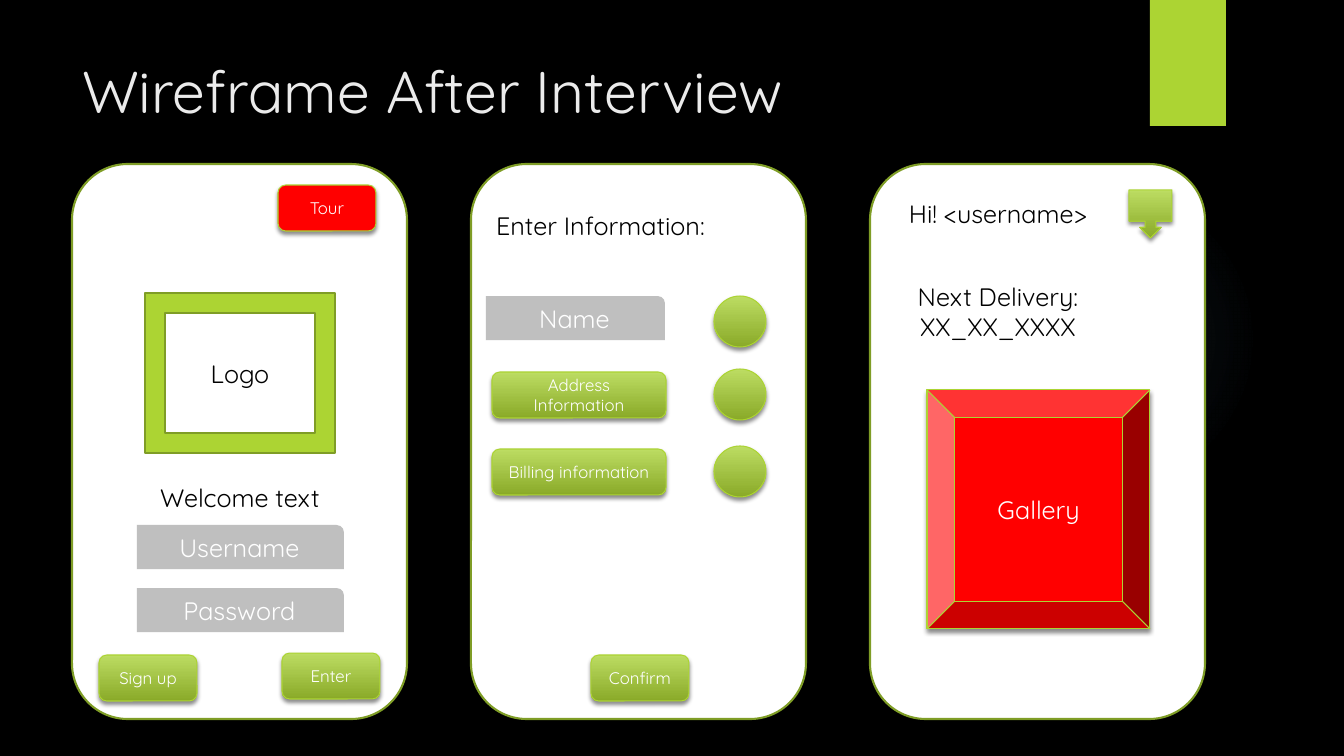
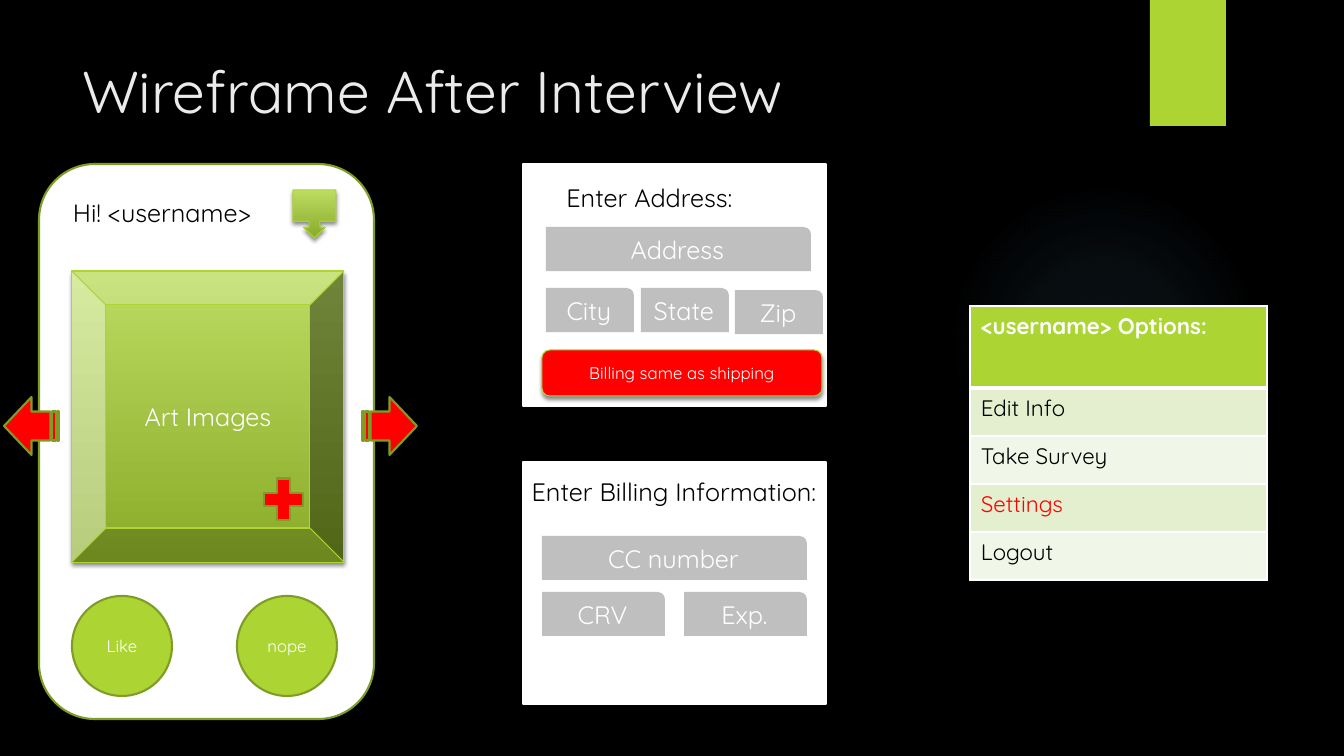
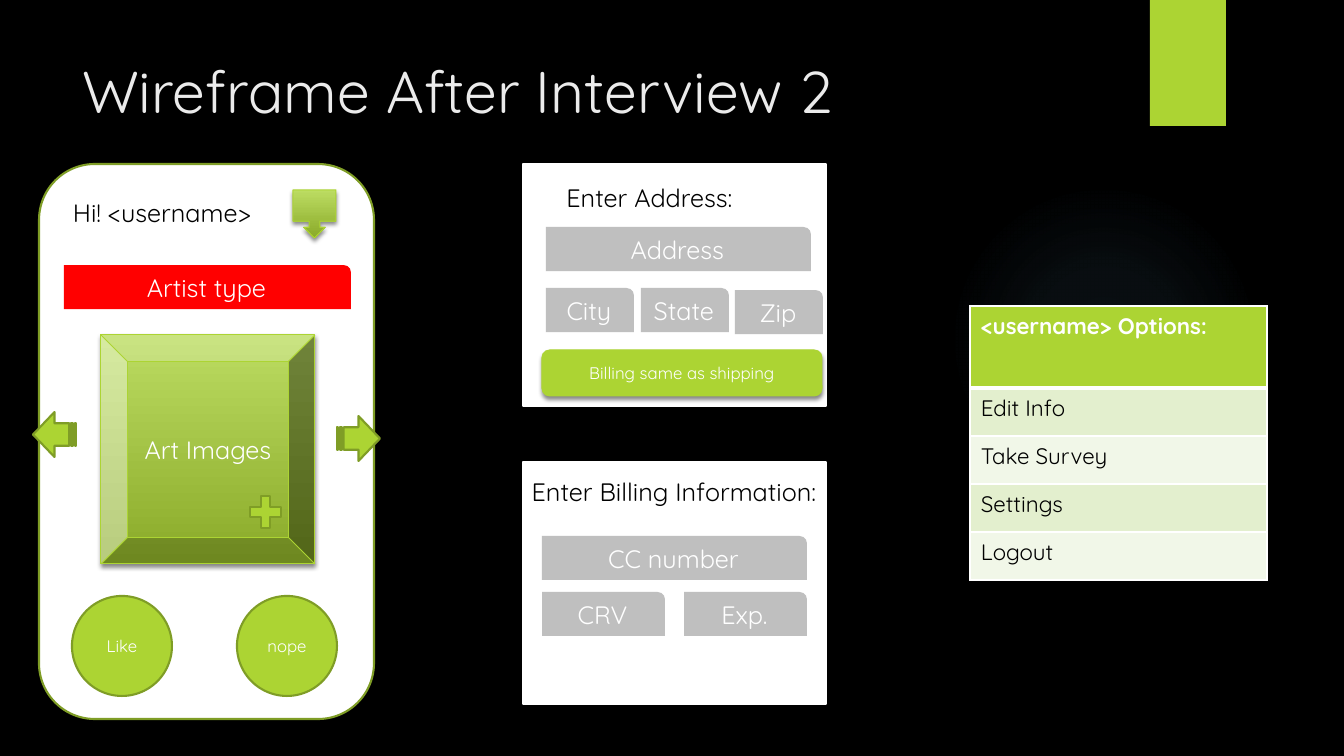
import pptx
import pptx.util
import pptx.oxml
import pptx.dml.color
import pptx.enum.shapes
import pptx.enum.text

PX = 914400 / 100.8
FONT = "Quicksand"
NS = 'xmlns:a="http://schemas.openxmlformats.org/drawingml/2006/main"'
KIND = pptx.enum.shapes.MSO_SHAPE
ALIGN = pptx.enum.text.PP_ALIGN
ANCHOR = pptx.enum.text.MSO_ANCHOR
FIT = pptx.enum.text.MSO_AUTO_SIZE

COLORS = {
    "black": "000000", "white": "FFFFFF", "title": "EBEBEB",
    "lime": "ACD433", "olive": "7F9D26", "light": "BCDC62", "dark": "8AAA29",
    "red": "FF0000", "grey": "BFBFBF", "glow": "7AC4F0",
    "band": "E3EFCE", "pale": "F1F7E8",
}
RGB = {name: pptx.dml.color.RGBColor.from_string(code) for name, code in COLORS.items()}

LOOKS = {
    "phone": {"fill": "white", "line": "olive", "width": 1.5},
    "card": {"fill": "white", "line": "white", "width": 1.5},
    "frame": {"fill": "lime", "line": "olive", "width": 1.5, "text": "black"},
    "flat": {"fill": "lime", "line": "olive", "width": 1.5},
    "flat red": {"fill": "red", "line": "olive", "width": 1.5},
    "field": {"fill": "grey"},
    "field red": {"fill": "red"},
    "bar": {"fill": "lime", "shadow": True},
    "glossy": {"line": "lime", "width": 0.75, "shadow": True},
    "raised": {"fill": "lime", "line": "lime", "width": 0.75, "shadow": True},
    "raised red": {"fill": "red", "line": "lime", "width": 0.75, "shadow": True},
    "label": {"text": "black"},
}


def write(frame, text, size, color, align=ALIGN.CENTER, bold=False):
    para = frame.paragraphs[0]
    para.alignment = align
    span = para.add_run()
    span.text = text
    for name, value in {"name": FONT, "size": pptx.util.Pt(size), "bold": bold}.items():
        setattr(span.font, name, value)
    span.font.color.rgb = RGB[color]


def draw(page, kind, look, left, top, width, height, text="", size=18):
    style = LOOKS[look]
    place = [round(length * PX) for length in (left, top, width, height)]
    if kind is None:
        box = page.shapes.add_textbox(*place)
        box.text_frame.word_wrap = True
        box.text_frame.auto_size = FIT.SHAPE_TO_FIT_TEXT
    else:
        box = page.shapes.add_shape(kind, *place)
        box.shadow.inherit = False
        box.text_frame.vertical_anchor = ANCHOR.MIDDLE
        if "fill" in style:
            box.fill.solid()
            box.fill.fore_color.rgb = RGB[style["fill"]]
        else:
            box.fill.gradient()
            box.fill.gradient_angle = 270
            for stop, color in zip(box.fill.gradient_stops, ("light", "dark")):
                stop.color.rgb = RGB[color]
        if "line" in style:
            box.line.color.rgb = RGB[style["line"]]
            box.line.width = pptx.util.Pt(style["width"])
        else:
            box.line.fill.background()
        if "shadow" in style:
            effects = box.element.spPr.find(pptx.oxml.ns.qn("a:effectLst"))
            effects.append(pptx.oxml.parse_xml(
                f'<a:outerShdw {NS} blurRad="38100" dist="25400" dir="5400000" rotWithShape="0">'
                f'<a:srgbClr val="{COLORS["black"]}"><a:alpha val="45000"/></a:srgbClr></a:outerShdw>'))
    if text:
        write(box.text_frame, text, size, style.get("text", "white"))
    return box


deck = pptx.Presentation()
deck.slide_width = round(1344 * PX)
deck.slide_height = round(756 * PX)
deck.slide_master.background.fill.solid()
deck.slide_master.background.fill.fore_color.rgb = RGB["black"]

layout = deck.slide_layouts[5]
for name, length in {"left": 72, "top": 50, "width": 1037, "height": 154}.items():
    setattr(layout.placeholders[0], name, round(length * PX))

pages = []
for heading in ("Wireframe After Interview", "Wireframe After Interview", "Wireframe After Interview 2"):
    page = deck.slides.add_slide(layout)
    frame = page.shapes.title.text_frame
    for name, value in {"vertical_anchor": ANCHOR.TOP, "word_wrap": True, "auto_size": FIT.NONE}.items():
        setattr(frame, name, value)
    write(frame, heading, 42, "title", ALIGN.LEFT)
    pages.append(page)
sketch, first, second = pages

glow = draw(sketch, KIND.OVAL, "bar", 949, 184, 310, 310)
glow.shadow.inherit = False
stops = "".join(
    f'<a:gs pos="{spot}000"><a:srgbClr val="{COLORS["glow"]}"><a:alpha val="{alpha}000"/></a:srgbClr></a:gs>'
    for spot, alpha in ((0, 7), (36, 6), (69, 0)))
solid = glow.element.spPr.find(pptx.oxml.ns.qn("a:solidFill"))
glow.element.spPr.replace(solid, pptx.oxml.parse_xml(
    f'<a:gradFill {NS}><a:gsLst>{stops}</a:gsLst><a:path path="circle">'
    '<a:fillToRect l="50000" t="50000" r="50000" b="50000"/></a:path></a:gradFill>'))
ribbon = draw(sketch, KIND.RECTANGLE, "bar", 1150, 0, 76, 126)
for shared in (glow, ribbon):
    layout.shapes.element.append(shared.element)

for column in range(3):
    draw(sketch, KIND.ROUNDED_RECTANGLE, "phone", 72 + 399 * column, 164, 335, 555)

draw(sketch, KIND.FRAME, "frame", 145, 293, 190, 160, "Logo")
for text, left, top, width, height in (
    ("Welcome text", 128, 477, 224, 40),
    ("Enter Information:", 476, 205, 249, 40),
    ("Hi! <username>", 882, 193, 232, 40),
    ("Next Delivery: XX_XX_XXXX", 882, 276, 232, 72),
):
    draw(sketch, None, "label", left, top, width, height, text)
for text, left, top, width in (
    ("Username", 137, 525, 207), ("Password", 137, 588, 207), ("Name", 486, 296, 179),
):
    draw(sketch, KIND.ROUND_1_RECTANGLE, "field", left, top, width, 44, text)
for text, look, left, top, width in (
    ("Tour", "raised red", 278, 185, 98),
    ("Sign up", "glossy", 99, 655, 98),
    ("Enter", "glossy", 282, 653, 98),
    ("Address Information", "glossy", 492, 372, 174),
    ("Billing information", "glossy", 492, 449, 174),
    ("Confirm", "glossy", 591, 655, 98),
):
    draw(sketch, KIND.ROUNDED_RECTANGLE, look, left, top, width, 46, text, 12)
for top in (296, 369, 446):
    draw(sketch, KIND.OVAL, "glossy", 714, top, 52, 51)
draw(sketch, KIND.DOWN_ARROW_CALLOUT, "glossy", 1129, 190, 43, 48)
draw(sketch, KIND.BEVEL, "raised red", 927, 390, 223, 239, "Gallery")

VERSIONS = (
    {"page": first, "images": (72, 271, 272, 291), "button": "raised red", "icon": "flat red",
     "next": (362, 397, 55, 58), "back": (4, 397, 55, 58), "plus": (257, 471, 53, 57), "settings": "red"},
    {"page": second, "images": (101, 335, 214, 229), "button": "raised", "icon": "flat",
     "next": (337, 416, 43, 45), "back": (33, 412, 43, 45), "plus": (245, 490, 41, 44), "settings": "black"},
)
for version in VERSIONS:
    page = version["page"]
    for top in (164, 462):
        draw(page, KIND.RECTANGLE, "card", 523, top, 303, 242)
    draw(page, KIND.ROUNDED_RECTANGLE, "phone", 39, 164, 335, 555)
    draw(page, KIND.DOWN_ARROW_CALLOUT, "glossy", 293, 190, 43, 48)
    draw(page, KIND.BEVEL, "glossy", *version["images"], "Art Images")
    for text, left in (("Like", 72), ("nope", 237)):
        draw(page, KIND.OVAL, "flat", left, 596, 100, 100, text, 12)
    for text, left, top, width in (
        ("Hi! <username>", 46, 192, 232),
        ("Enter Address:", 525, 177, 249),
        ("Enter Billing Information:", 518, 471, 312),
    ):
        draw(page, None, "label", left, top, width, 40, text)
    for text, left, top, width in (
        ("Address", 546, 227, 265),
        ("City", 546, 288, 88),
        ("State", 641, 288, 88),
        ("Zip", 735, 290, 88),
        ("CC number", 542, 536, 265),
        ("CRV", 542, 592, 123),
        ("Exp.", 684, 592, 123),
    ):
        draw(page, KIND.ROUND_1_RECTANGLE, "field", left, top, width, 44, text)

    options = (
        ("<username> Options:", "lime", "white", 82),
        ("Edit Info", "band", "black", 48),
        ("Take Survey", "pale", "black", 48),
        ("Settings", "band", version["settings"], 48),
        ("Logout", "pale", "black", 48),
    )
    place = [round(length * PX) for length in (970, 306, 297, 274)]
    table = page.shapes.add_table(len(options), 1, *place).table
    for index, (text, fill, color, height) in enumerate(options):
        table.rows[index].height = round(height * PX)
        cell = table.cell(index, 0)
        for side, margin in {"left": 11, "right": 11, "top": 6, "bottom": 6}.items():
            setattr(cell, f"margin_{side}", round(margin * PX))
        write(cell.text_frame, text, 16, color, ALIGN.LEFT, index == 0)
        for side in "LRTB":
            thick = (index, side) in ((0, "B"), (1, "T"))
            cell._tc.get_or_add_tcPr().append(pptx.oxml.parse_xml(
                f'<a:ln{side} {NS} w="{38100 if thick else 12700}"><a:solidFill>'
                f'<a:srgbClr val="{COLORS["white"]}"/></a:solidFill></a:ln{side}>'))
        cell.fill.solid()
        cell.fill.fore_color.rgb = RGB[fill]

    draw(page, KIND.ROUNDED_RECTANGLE, version["button"], 542, 350, 280, 46, "Billing same as shipping", 12)
    draw(page, KIND.STRIPED_RIGHT_ARROW, version["icon"], *version["next"])
    draw(page, KIND.STRIPED_RIGHT_ARROW, version["icon"], *version["back"]).rotation = 180
    draw(page, KIND.MATH_PLUS, version["icon"], *version["plus"])

draw(second, KIND.ROUND_1_RECTANGLE, "field red", 64, 265, 287, 44, "Artist type")

deck.save("out.pptx")
